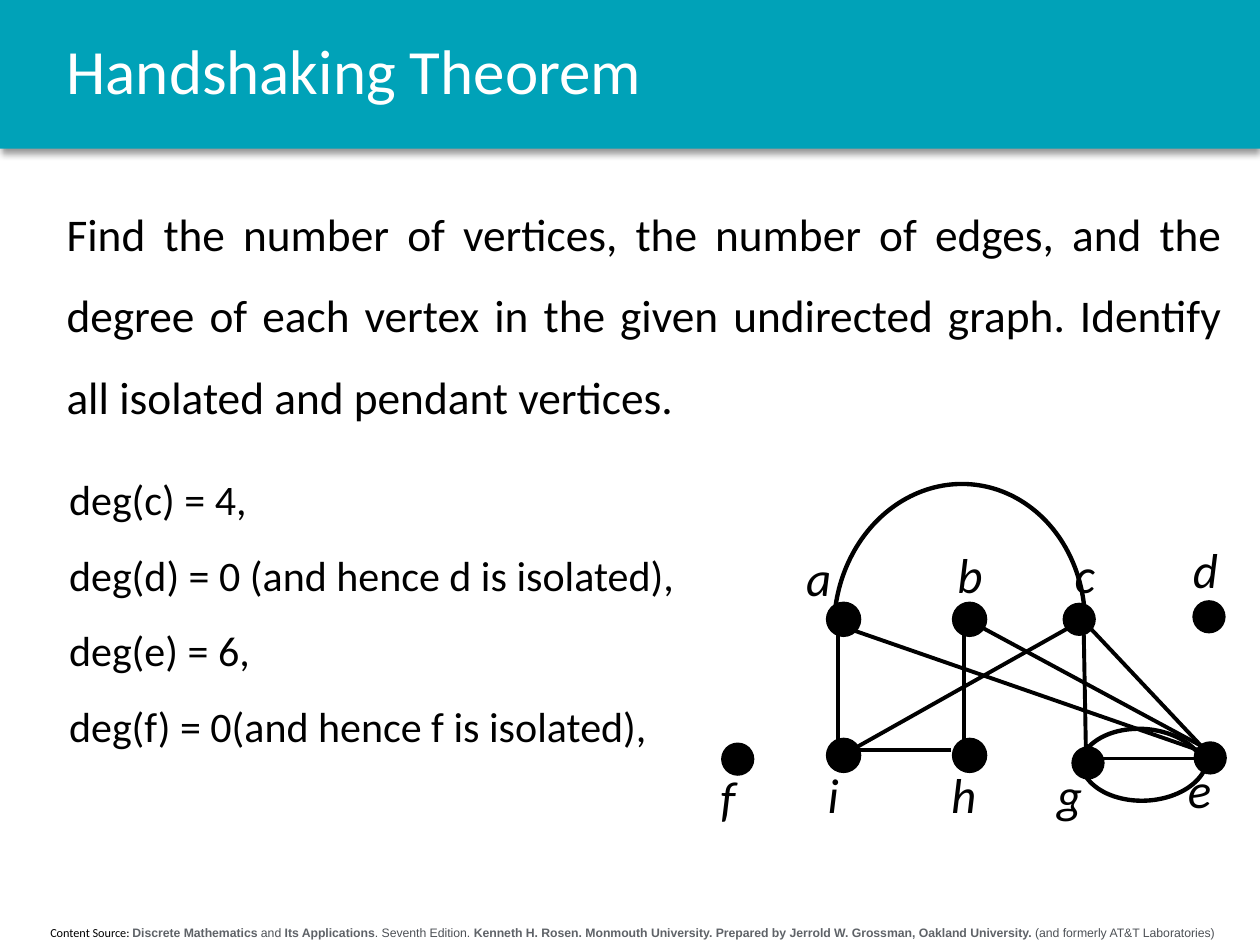
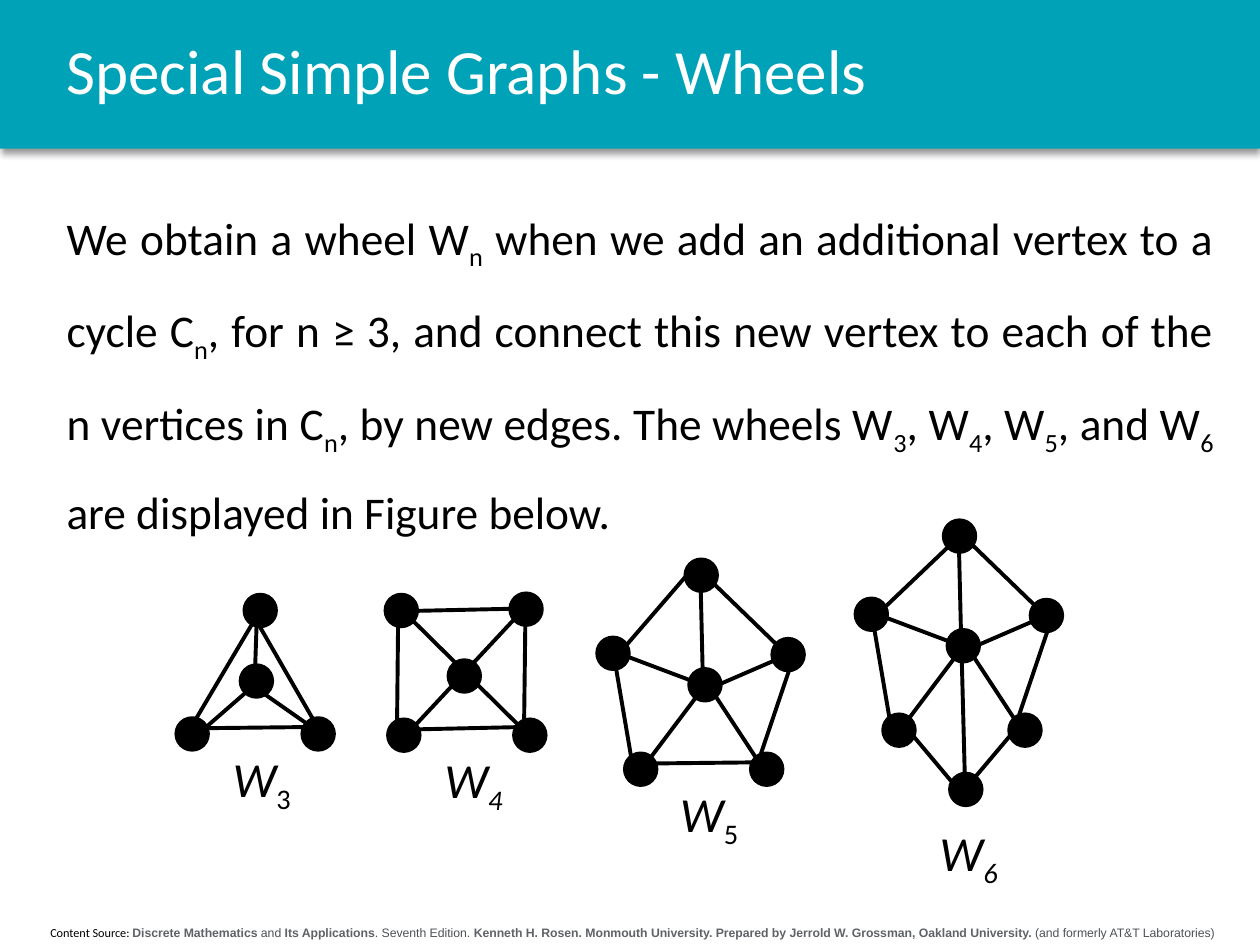
from dataclasses import dataclass, replace
from typing import NamedTuple

import lxml.etree
import pptx
import pptx.dml.color
import pptx.enum.shapes
import pptx.enum.text
import pptx.oxml.ns
import pptx.util

EMU_PER_PX = 9144
PAGE_WIDTH, PAGE_HEIGHT = 1000, 750
VERTEX_SIZE = 25
LABEL_HEIGHT = 57
ALIGN = pptx.enum.text.PP_ALIGN
ANCHOR = pptx.enum.text.MSO_ANCHOR
SHAPE = pptx.enum.shapes.MSO_SHAPE


@dataclass(frozen=True)
class Theme:
    band: str = "00A2B8"
    white: str = "FFFFFF"
    ink: str = "000000"
    source_bold: str = "5F6368"
    source_plain: str = "4D5156"
    font: str = "Calibri"
    source_font: str = "Arial"
    title: float = 36
    body: float = 25.9
    answer: float = 24
    label: float = 28
    source: float = 7
    edge: float = 2.25
    thin: float = 1
    arc: float = 2.5


THEME = Theme()


@dataclass(frozen=True)
class Span:
    text: str
    size: float = THEME.body
    colour: str = THEME.ink
    font: str = THEME.font
    bold: bool = False
    italic: bool = False
    subscript: bool = False


class Frame(NamedTuple):
    left: int
    top: int
    width: int
    height: int


class Vertex(NamedTuple):
    left: int
    top: int
    outline: float = THEME.edge


class Edge(NamedTuple):
    start_x: int
    start_y: int
    end_x: int
    end_y: int


class Arc(NamedTuple):
    frame: Frame
    rotation: float


class Label(NamedTuple):
    left: int
    top: int
    width: int
    spans: list[Span]


@dataclass(frozen=True)
class Graph:
    vertices: list[Vertex]
    edges: list[Edge]
    labels: list[Label]
    arcs: tuple[Arc, ...] = ()


def px(length: int) -> int:
    return pptx.util.Emu(length * EMU_PER_PX)


def rgb(colour: str) -> pptx.dml.color.RGBColor:
    return pptx.dml.color.RGBColor.from_string(colour)


def add_text(page, frame: Frame, paragraphs: list[list[Span]], align=ALIGN.LEFT,
             anchor=ANCHOR.TOP, spacing: float = 1.0, wrap: bool = True) -> None:
    box = page.shapes.add_textbox(*map(px, frame))
    text = box.text_frame
    text.word_wrap = wrap
    text.vertical_anchor = anchor
    for index, spans in enumerate(paragraphs):
        para = text.add_paragraph() if index else text.paragraphs[0]
        para.alignment = align
        para.line_spacing = spacing
        for item in spans:
            span = para.add_run()
            span.text = item.text
            span.font.name = item.font
            span.font.size = pptx.util.Pt(item.size)
            span.font.bold = item.bold
            span.font.italic = item.italic
            span.font.color.rgb = rgb(item.colour)
            if item.subscript:
                span._r.get_or_add_rPr().set("baseline", "-25000")


def add_band(page) -> None:
    band = page.shapes.add_shape(SHAPE.RECTANGLE, *map(px, (0, 0, PAGE_WIDTH, 118)))
    band.shadow.inherit = False
    band.fill.solid()
    band.fill.fore_color.rgb = rgb(THEME.band)
    band.line.fill.background()
    effects = band._element.spPr.find(pptx.oxml.ns.qn("a:effectLst"))
    shadow = lxml.etree.SubElement(
        effects, pptx.oxml.ns.qn("a:outerShdw"),
        blurRad=str(pptx.util.Pt(4)), dist=str(pptx.util.Pt(3)),
        dir="5400000", algn="t", rotWithShape="0")
    tint = lxml.etree.SubElement(shadow, pptx.oxml.ns.qn("a:srgbClr"), val=THEME.ink)
    lxml.etree.SubElement(tint, pptx.oxml.ns.qn("a:alpha"), val="40000")


def add_source(page) -> None:
    strong = Span("", THEME.source, THEME.source_bold, THEME.source_font, bold=True)
    plain = Span("", THEME.source, THEME.source_plain, THEME.source_font)
    spans = [
        Span("Content Source: ", THEME.source),
        replace(strong, text="Discrete Mathematics"),
        replace(plain, text=" and "),
        replace(strong, text="Its Applications"),
        replace(plain, text=". Seventh Edition. "),
        replace(strong, text="Kenneth H. Rosen. Monmouth University. "
                             "Prepared by Jerrold W. Grossman, Oakland University."),
        replace(plain, text=" (and formerly AT&T Laboratories)"),
    ]
    add_text(page, Frame(4, 729, 996, 22), [spans], ALIGN.CENTER)


def add_page(deck, title: str):
    page = deck.slides.add_slide(deck.slide_layouts[6])
    add_band(page)
    add_source(page)
    add_text(page, Frame(43, 0, 930, 118), [[Span(title, THEME.title, THEME.white)]],
             anchor=ANCHOR.MIDDLE, spacing=0.9)
    return page


def draw_edge(page, edge: Edge) -> None:
    line = page.shapes.add_connector(
        pptx.enum.shapes.MSO_CONNECTOR.STRAIGHT, *map(px, edge))
    line.line.color.rgb = rgb(THEME.ink)
    line.line.width = pptx.util.Pt(THEME.edge)
    lxml.etree.SubElement(line._element.spPr, pptx.oxml.ns.qn("a:effectLst"))


def draw_vertex(page, vertex: Vertex) -> None:
    dot = page.shapes.add_shape(
        SHAPE.OVAL, px(vertex.left), px(vertex.top), px(VERTEX_SIZE), px(VERTEX_SIZE))
    dot.shadow.inherit = False
    dot.fill.solid()
    dot.fill.fore_color.rgb = rgb(THEME.ink)
    dot.line.color.rgb = rgb(THEME.ink)
    dot.line.width = pptx.util.Pt(vertex.outline)


def draw_arc(page, arc: Arc) -> None:
    curve = page.shapes.add_shape(SHAPE.ARC, *map(px, arc.frame))
    curve.shadow.inherit = False
    curve.adjustments[0] = 162
    curve.adjustments[1] = 49.502
    curve.rotation = arc.rotation
    curve.fill.background()
    curve.line.color.rgb = rgb(THEME.ink)
    curve.line.width = pptx.util.Pt(THEME.arc)


def draw_graph(page, graph: Graph) -> None:
    for edge in graph.edges:
        draw_edge(page, edge)
    for arc in graph.arcs:
        draw_arc(page, arc)
    for vertex in graph.vertices:
        draw_vertex(page, vertex)
    for label in graph.labels:
        add_text(page, Frame(label.left, label.top, label.width, LABEL_HEIGHT),
                 [label.spans], wrap=False)


def vertex_label(left: int, top: int, width: int, name: str) -> Label:
    return Label(left, top, width, [Span(name, THEME.label, italic=True)])


def wheel_label(left: int, top: int, order: str, italic: bool) -> Label:
    return Label(left, top, 69, [
        Span("W", THEME.label, italic=True),
        Span(order, THEME.label, italic=italic, subscript=True)])


def moved_vertices(vertices: list[Vertex], right: int, down: int) -> list[Vertex]:
    return [Vertex(v.left + right, v.top + down, v.outline) for v in vertices]


def moved_edges(edges: list[Edge], right: int, down: int) -> list[Edge]:
    return [Edge(e.start_x + right, e.start_y + down, e.end_x + right, e.end_y + down)
            for e in edges]


DEGREE_GRAPH = Graph(
    vertices=[Vertex(left, top) for top in (479, 587) for left in (657, 757)]
    + [Vertex(left, top, THEME.thin) for left, top in
       ((844, 479), (851, 593), (947, 477), (948, 589), (573, 590))],
    edges=[Edge(665, 504, 665, 587), Edge(765, 504, 765, 587),
           Edge(663, 595, 755, 595), Edge(854, 495, 664, 602),
           Edge(953, 602, 861, 602), Edge(959, 598, 862, 495),
           Edge(959, 595, 770, 493), Edge(953, 596, 665, 496),
           Edge(860, 496, 862, 603)],
    labels=[vertex_label(*values) for values in (
        (630, 430, 43, "a"), (750, 427, 43, "b"), (843, 427, 41, "c"),
        (937, 423, 43, "d"), (933, 598, 43, "e"), (562, 604, 34, "f"),
        (829, 602, 43, "g"), (745, 602, 44, "h"), (647, 602, 32, "i"))],
    arcs=(Arc(Frame(649, 397, 225, 199), 274.6),
          Arc(Frame(873, 562, 68, 101), 274.6),
          Arc(Frame(874, 551, 68, 101), 87.5)),
)

WHEEL_3 = Graph(
    vertices=[Vertex(140, 570), Vertex(194, 472), Vertex(240, 570), Vertex(191, 528)],
    edges=[Edge(248, 577, 157, 578), Edge(206, 497, 248, 570),
           Edge(205, 487, 147, 585), Edge(205, 541, 151, 588),
           Edge(204, 486, 202, 545), Edge(253, 581, 203, 546)],
    labels=[wheel_label(175, 589, "3", False)],
)

WHEEL_4 = Graph(
    vertices=[Vertex(308, 571), Vertex(306, 472), Vertex(408, 571),
              Vertex(405, 471), Vertex(356, 524)],
    edges=[Edge(416, 577, 325, 579), Edge(417, 491, 416, 571),
           Edge(316, 491, 315, 585), Edge(413, 483, 322, 485),
           Edge(416, 483, 319, 587), Edge(322, 487, 415, 579)],
    labels=[wheel_label(343, 590, "4", True)],
)

PENTAGON_VERTICES = [Vertex(496, 598), Vertex(474, 506), Vertex(596, 598),
                     Vertex(613, 507), Vertex(544, 444), Vertex(547, 531)]
PENTAGON_EDGES = [Edge(629, 524, 604, 598), Edge(487, 519, 503, 613),
                  Edge(556, 543, 487, 517), Edge(561, 542, 506, 615),
                  Edge(561, 542, 603, 606), Edge(556, 461, 558, 546),
                  Edge(629, 518, 555, 550), Edge(560, 457, 622, 517)]
HEXAGON_SHIFT = (205, -31)

WHEEL_5 = Graph(
    vertices=PENTAGON_VERTICES,
    edges=PENTAGON_EDGES + [Edge(603, 605, 513, 606), Edge(549, 452, 492, 518)],
    labels=[wheel_label(530, 617, "5", False)],
)

WHEEL_6 = Graph(
    vertices=moved_vertices(PENTAGON_VERTICES, *HEXAGON_SHIFT) + [Vertex(754, 614)],
    edges=moved_edges(PENTAGON_EDGES, *HEXAGON_SHIFT)
    + [Edge(761, 426, 697, 487), Edge(760, 626, 718, 576),
       Edge(810, 574, 767, 625), Edge(763, 511, 766, 626)],
    labels=[wheel_label(736, 648, "6", True)],
)

WHEEL_TEXT = [
    ("We obtain a wheel W", "n"),
    (" when we add an additional vertex to a cycle C", "n"),
    (", for n ≥ 3, and connect this new vertex to each of the n vertices in C", "n"),
    (", by new edges. The wheels W", "3"),
    (", W", "4"),
    (", W", "5"),
    (", and W", "6"),
]


def build_handshaking(deck) -> None:
    page = add_page(deck, "Handshaking Theorem")
    answers = ["deg(c) = 4,", "deg(d) = 0 (and hence d is isolated),",
               "deg(e) = 6,", "deg(f) = 0(and hence f is isolated),"]
    add_text(page, Frame(45, 351, 562, 244),
             [[Span(answer, THEME.answer)] for answer in answers], spacing=1.5)
    question = ("Find the number of vertices, the number of edges, and the degree of each "
                "vertex in the given undirected graph. Identify all isolated and pendant "
                "vertices.")
    add_text(page, Frame(43, 137, 937, 202), [[Span(question)]], ALIGN.JUSTIFY, spacing=1.5)
    draw_graph(page, DEGREE_GRAPH)


def build_wheels(deck) -> None:
    page = add_page(deck, "Special Simple Graphs - Wheels")
    spans = [span for text, index in WHEEL_TEXT
             for span in (Span(text), Span(index, subscript=True))]
    spans.append(Span(" are displayed in Figure below."))
    add_text(page, Frame(43, 137, 930, 284), [spans], ALIGN.JUSTIFY, spacing=1.5)
    for wheel in (WHEEL_3, WHEEL_4, WHEEL_5, WHEEL_6):
        draw_graph(page, wheel)


def main() -> None:
    deck = pptx.Presentation()
    deck.slide_width, deck.slide_height = px(PAGE_WIDTH), px(PAGE_HEIGHT)
    build_handshaking(deck)
    build_wheels(deck)
    deck.save("out.pptx")


if __name__ == "__main__":
    main()
